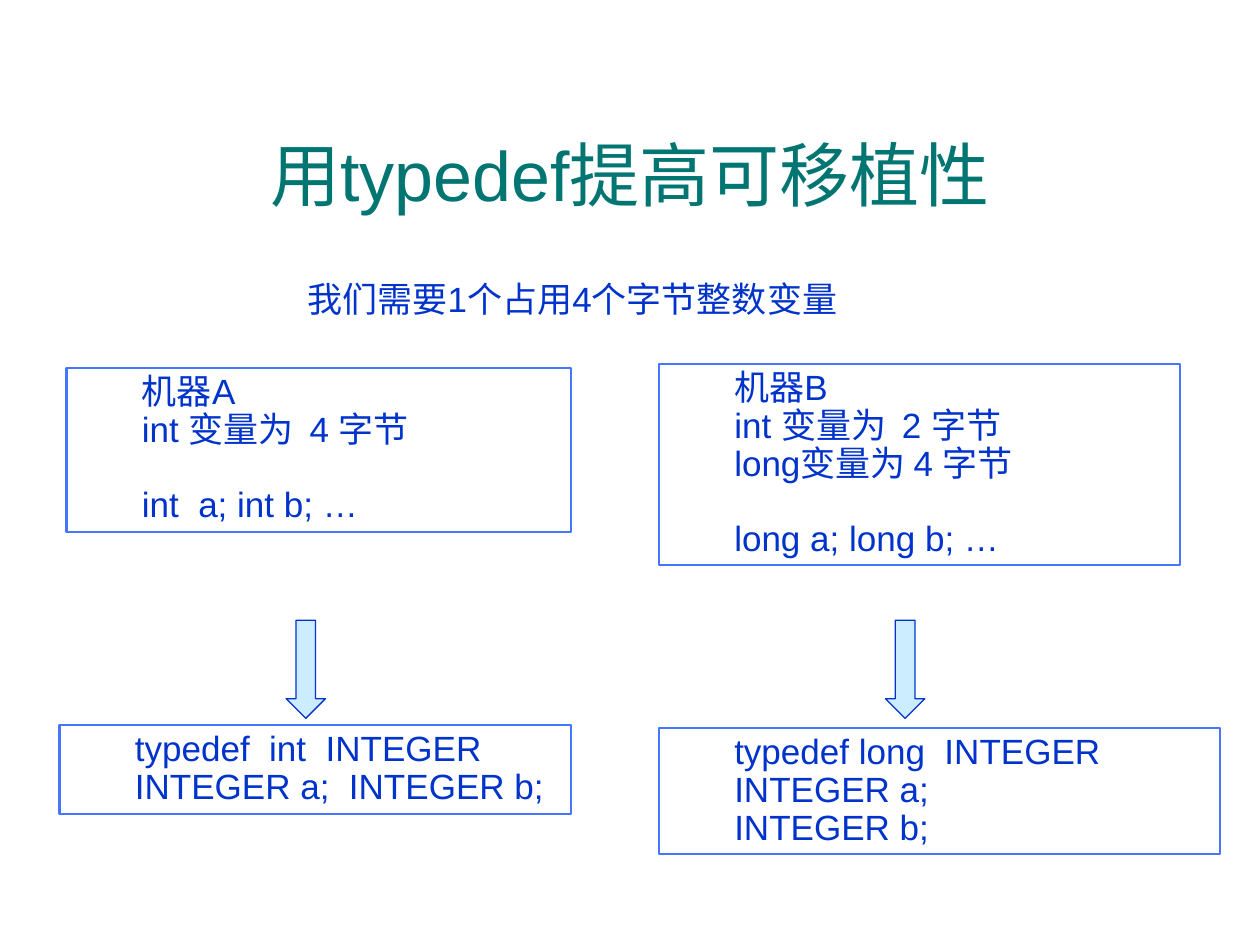
from dataclasses import dataclass

from pptx import Presentation
from pptx.dml.color import RGBColor
from pptx.enum import shapes, text
from pptx.util import Pt

BLUE, EDGE, PALE, TEAL = "0033CC", "4775FF", "CCECFF", "007572"
FRAME = dict(margin_left=Pt(7.2), margin_right=Pt(7.2), margin_top=Pt(3.6),
             margin_bottom=Pt(3.6), word_wrap=True,
             vertical_anchor=text.MSO_ANCHOR.TOP)
LINE = dict(line_spacing=0.9, alignment=text.PP_ALIGN.LEFT)
GAP = 21.5  # space that sets the code apart from the facts above it


@dataclass
class Box:
    left: float
    top: float
    width: float
    height: float

    def place(self) -> tuple:
        return Pt(self.left), Pt(self.top), Pt(self.width), Pt(self.height)


@dataclass
class Panel:
    box: Box
    facts: list[str]
    code: list[str]


PANELS = [
    Panel(Box(38, 210.5, 288.5, 93.5),
          ["机器A", "int 变量为  4 字节"], ["int  a; int b; …"]),
    Panel(Box(376.5, 208, 298, 115),
          ["机器B", "int 变量为  2 字节", "long变量为 4 字节"],
          ["long a; long b; …"]),
    Panel(Box(34, 414.5, 292.5, 50.5),
          [], ["typedef  int  INTEGER", "INTEGER a;  INTEGER b;"]),
    Panel(Box(376.5, 416, 320.5, 72),
          [], ["typedef long  INTEGER", "INTEGER a;", "INTEGER b;"]),
]
ARROWS = [Box(left, 354.5, 22.5, 56) for left in (163.5, 506)]


def color(code: str) -> RGBColor:
    return RGBColor.from_string(code)


def apply(item, form: dict) -> None:
    for name, value in form.items():
        setattr(item, name, value)


def style(font, size: float, code: str) -> None:
    apply(font, dict(name="Arial", size=Pt(size)))
    font.color.rgb = color(code)


def write(frame, lines: list[str], indent: float = 0) -> None:
    apply(frame, FRAME)
    for i, line in enumerate(lines):
        para = frame.paragraphs[0] if i == 0 else frame.add_paragraph()
        para.text = line
        apply(para, LINE)
        para._p.get_or_add_pPr().set("marL", str(Pt(indent)))
        style(para.font, 20, BLUE)


def outline(shape, code: str, width: float) -> None:
    shape.shadow.inherit = False
    shape.line.color.rgb = color(code)
    shape.line.width = Pt(width)


def add_panel(slide, panel: Panel) -> None:
    rect = slide.shapes.add_shape(shapes.MSO_SHAPE.RECTANGLE, *panel.box.place())
    rect.fill.background()
    outline(rect, EDGE, 1.25)
    write(rect.text_frame, panel.facts + panel.code, indent=36)
    if panel.facts:
        rect.text_frame.paragraphs[len(panel.facts)].space_before = Pt(GAP)


def add_arrow(slide, box: Box) -> None:
    arrow = slide.shapes.add_shape(shapes.MSO_SHAPE.DOWN_ARROW, *box.place())
    arrow.fill.solid()
    arrow.fill.fore_color.rgb = color(PALE)
    outline(arrow, BLUE, 0.75)


def add_title(slide, box: Box, words: str) -> None:
    title = slide.shapes.title
    title.left, title.top, title.width, title.height = box.place()
    frame = title.text_frame
    frame.text = words
    frame.vertical_anchor = text.MSO_ANCHOR.MIDDLE
    para = frame.paragraphs[0]
    para.alignment = text.PP_ALIGN.CENTER
    style(para.font, 40, TEAL)


def main() -> None:
    deck = Presentation()
    deck.slide_width, deck.slide_height = Pt(720), Pt(540)
    slide = deck.slides.add_slide(deck.slide_layouts[5])
    add_title(slide, Box(24, 54, 672, 90), "用typedef提高可移植性")
    need = slide.shapes.add_textbox(*Box(168.5, 157.5, 438.5, 29).place())
    write(need.text_frame, ["我们需要1个占用4个字节整数变量"])
    for panel in PANELS:
        add_panel(slide, panel)
    for box in ARROWS:
        add_arrow(slide, box)
    deck.save("out.pptx")


if __name__ == "__main__":
    main()
